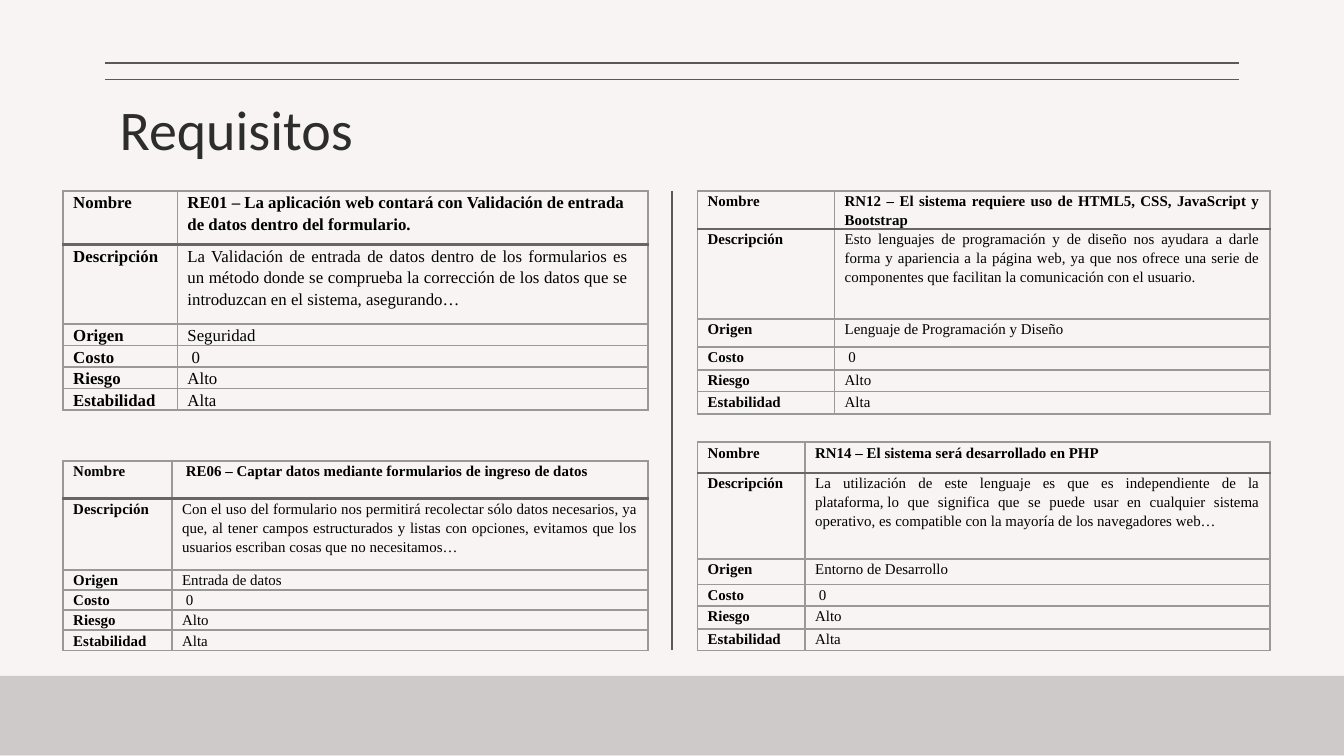
"""Builds the slide "Requisitos", with four requirement cards in two columns."""
from dataclasses import dataclass

from lxml import etree
from pptx import Presentation
from pptx.dml.color import RGBColor
from pptx.enum.shapes import MSO_CONNECTOR, MSO_SHAPE
from pptx.enum.text import MSO_ANCHOR, MSO_AUTO_SIZE, PP_ALIGN
from pptx.oxml.ns import qn
from pptx.util import Inches, Pt

LEFT, JUSTIFY = PP_ALIGN.LEFT, PP_ALIGN.JUSTIFY
TOP = MSO_ANCHOR.TOP
NO_FIT = MSO_AUTO_SIZE.NONE
STRAIGHT = MSO_CONNECTOR.STRAIGHT
RECTANGLE = MSO_SHAPE.RECTANGLE
TITLE_ONLY = 5
HARD_SPACE = chr(160)


@dataclass(frozen=True)
class Theme:
    background: str = "F8F4F4"
    band: str = "CFCACA"
    rule: str = "595959"
    title: str = "2E2D2D"
    text: str = "000000"
    grid: str = "999999"
    header_grid: str = "666666"
    title_font: str = "Calibri"
    body_font: str = "Times New Roman"
    title_size: float = 30
    large_size: float = 9
    small_size: float = 8
    rule_width: float = 0.75
    grid_width: float = 1
    header_grid_width: float = 1.5


THEME = Theme()
LABELS = ["Nombre", "Descripción", "Origen", "Costo", "Riesgo", "Estabilidad"]
LEFT_COLUMN, RIGHT_COLUMN = 0.47, 5.19
CARDS = [
    dict(left=LEFT_COLUMN, top=1.42, widths=[0.85, 3.5], size=THEME.large_size,
         heights=[0.4, 0.59, 0.16, 0.16, 0.16, 0.16], name_align=LEFT,
         name="RE01 – La aplicación web contará con Validación de entrada de datos "
              "dentro del formulario.",
         description="La Validación de entrada de datos dentro de los formularios es "
                     f"un método{HARD_SPACE}donde se comprueba la corrección de los "
                     "datos que se introduzcan en el sistema, asegurando…",
         origin="Seguridad", right_indent=0.08),
    dict(left=LEFT_COLUMN, top=3.43, widths=[0.81, 3.54], size=THEME.small_size,
         heights=[0.28, 0.53, 0.15, 0.15, 0.15, 0.15], name_align=LEFT,
         name=" RE06 – Captar datos mediante formularios de ingreso de datos",
         description="Con el uso del formulario nos permitirá recolectar sólo datos "
                     "necesarios, ya que, al tener campos estructurados y listas con "
                     "opciones, evitamos que los usuarios escriban cosas que no "
                     "necesitamos…",
         origin="Entrada de datos"),
    dict(left=RIGHT_COLUMN, top=1.42, widths=[1.02, 3.24], size=THEME.small_size,
         heights=[0.26, 0.67, 0.21, 0.17, 0.16, 0.17], name_align=JUSTIFY,
         name="RN12 – El sistema requiere uso de HTML5, CSS, JavaScript y Bootstrap",
         description="Esto lenguajes de programación y de diseño nos ayudara a darle "
                     "forma y apariencia a la página web, ya que nos ofrece una serie "
                     "de componentes que facilitan la comunicación con el usuario.",
         origin="Lenguaje de Programación y Diseño"),
    dict(left=RIGHT_COLUMN, top=3.29, widths=[0.8, 3.46], size=THEME.small_size,
         heights=[0.23, 0.64, 0.19, 0.16, 0.17, 0.16], name_align=JUSTIFY,
         name="RN14 – El sistema será desarrollado en PHP",
         description="La utilización de este lenguaje es que es independiente de la "
                     f"plataforma,{HARD_SPACE}lo que significa que se puede usar en "
                     "cualquier sistema operativo, es compatible con la mayoría de los "
                     "navegadores web…",
         origin="Entorno de Desarrollo"),
]


def write_text(frame, text, *, font, size, color, bold=False, align=LEFT,
               spacing=None, after=0, right_indent=0):
    paragraph = frame.paragraphs[0]
    paragraph.alignment = align
    paragraph.space_after = Pt(after)
    if spacing:
        paragraph.line_spacing = spacing
    if right_indent:
        paragraph._p.get_or_add_pPr().set("marR", str(Inches(right_indent)))
    run = paragraph.add_run()
    run.text = text
    run.font.name = font
    run.font.size = Pt(size)
    run.font.bold = bold
    run.font.color.rgb = RGBColor.from_string(color)


class SlideBuilder:
    """Holds the theme and the current slide, and draws each kind of element."""

    def __init__(self, slide, theme):
        self.slide = slide
        self.theme = theme

    def background(self):
        fill = self.slide.background.fill
        fill.solid()
        fill.fore_color.rgb = RGBColor.from_string(self.theme.background)

    def band(self, left, top, width, height):
        band = self.slide.shapes.add_shape(
            RECTANGLE, Inches(left), Inches(top), Inches(width), Inches(height))
        band.shadow.inherit = False
        band.fill.solid()
        band.fill.fore_color.rgb = RGBColor.from_string(self.theme.band)
        band.line.fill.background()

    def rule(self, x1, y1, x2, y2):
        rule = self.slide.shapes.add_connector(
            STRAIGHT, Inches(x1), Inches(y1), Inches(x2), Inches(y2))
        rule.line.color.rgb = RGBColor.from_string(self.theme.rule)
        rule.line.width = Pt(self.theme.rule_width)
        etree.SubElement(rule._element.spPr, qn("a:effectLst"))

    def title(self, text, left, top, width, height):
        title = self.slide.shapes.title
        title.left, title.top = Inches(left), Inches(top)
        title.width, title.height = Inches(width), Inches(height)
        frame = title.text_frame
        frame.auto_size = NO_FIT
        frame.vertical_anchor = TOP
        frame.margin_left = frame.margin_right = Inches(0.1)
        frame.margin_top = frame.margin_bottom = Inches(0.1)
        write_text(frame, text, font=self.theme.title_font,
                   size=self.theme.title_size, color=self.theme.title)

    def cell_border(self, cell, side, color, width):
        line = etree.SubElement(cell._tc.get_or_add_tcPr(), qn(f"a:ln{side}"),
                                w=str(Pt(width)))
        fill = etree.SubElement(line, qn("a:solidFill"))
        etree.SubElement(fill, qn("a:srgbClr"), val=color)

    def cell(self, cell, text, row, **text_format):
        theme = self.theme
        cell.margin_left = cell.margin_right = Pt(5.4)
        cell.margin_top = cell.margin_bottom = 0
        cell.vertical_anchor = TOP
        header_side = {0: "B", 1: "T"}.get(row)
        for side in "LRTB":
            if side == header_side:
                self.cell_border(cell, side, theme.header_grid, theme.header_grid_width)
            else:
                self.cell_border(cell, side, theme.grid, theme.grid_width)
        cell.fill.background()
        write_text(cell.text_frame, text, font=theme.body_font, color=theme.text,
                   spacing=1.15, after=8, **text_format)

    def card(self, *, left, top, widths, heights, size, name, name_align,
             description, origin, right_indent=0):
        table = self.slide.shapes.add_table(
            len(heights), len(widths), Inches(left), Inches(top),
            Inches(sum(widths)), Inches(sum(heights))).table
        table.first_row = table.horz_banding = False
        for column, width in zip(table.columns, widths):
            column.width = Inches(width)
        values = [name, description, origin, " 0", "Alto", "Alta"]
        alignments = {0: name_align, 1: JUSTIFY}
        for row, (label, value) in enumerate(zip(LABELS, values)):
            table.rows[row].height = Inches(heights[row])
            self.cell(table.cell(row, 0), label, row, size=size, bold=True)
            self.cell(table.cell(row, 1), value, row, size=size, bold=row == 0,
                      align=alignments.get(row, LEFT),
                      right_indent=right_indent if row == 1 else 0)


def main():
    presentation = Presentation()
    presentation.slide_width = Inches(10)
    presentation.slide_height = Inches(10 * 9 / 16)
    slide = presentation.slides.add_slide(presentation.slide_layouts[TITLE_ONLY])
    builder = SlideBuilder(slide, THEME)
    builder.background()
    builder.band(0, 5.03, 10, 0.59)
    for y in (0.47, 0.59):
        builder.rule(0.78, y, 9.22, y)
    builder.rule(5, 1.42, 5, 4.84)
    builder.title("Requisitos", 0.79, 0.6, 8.43, 0.63)
    for card in CARDS:
        builder.card(**card)
    presentation.save("out.pptx")


if __name__ == "__main__":
    main()
